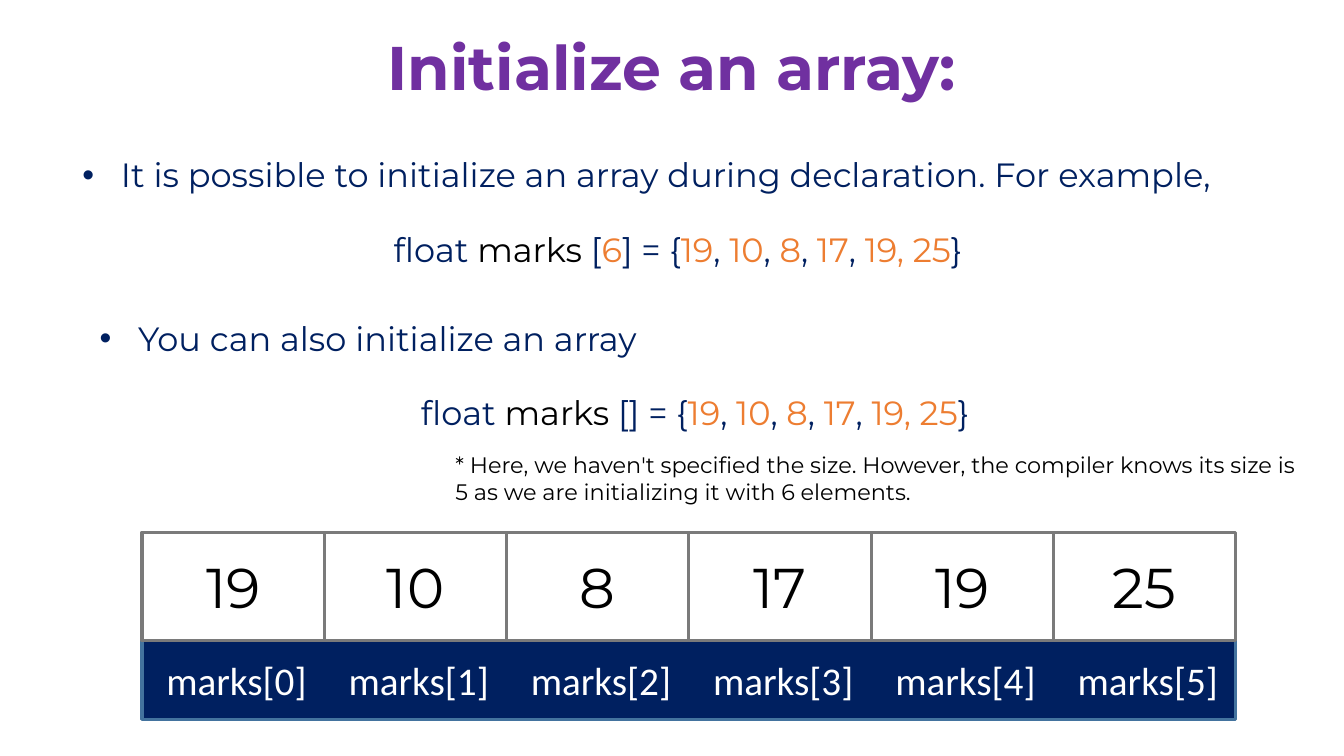
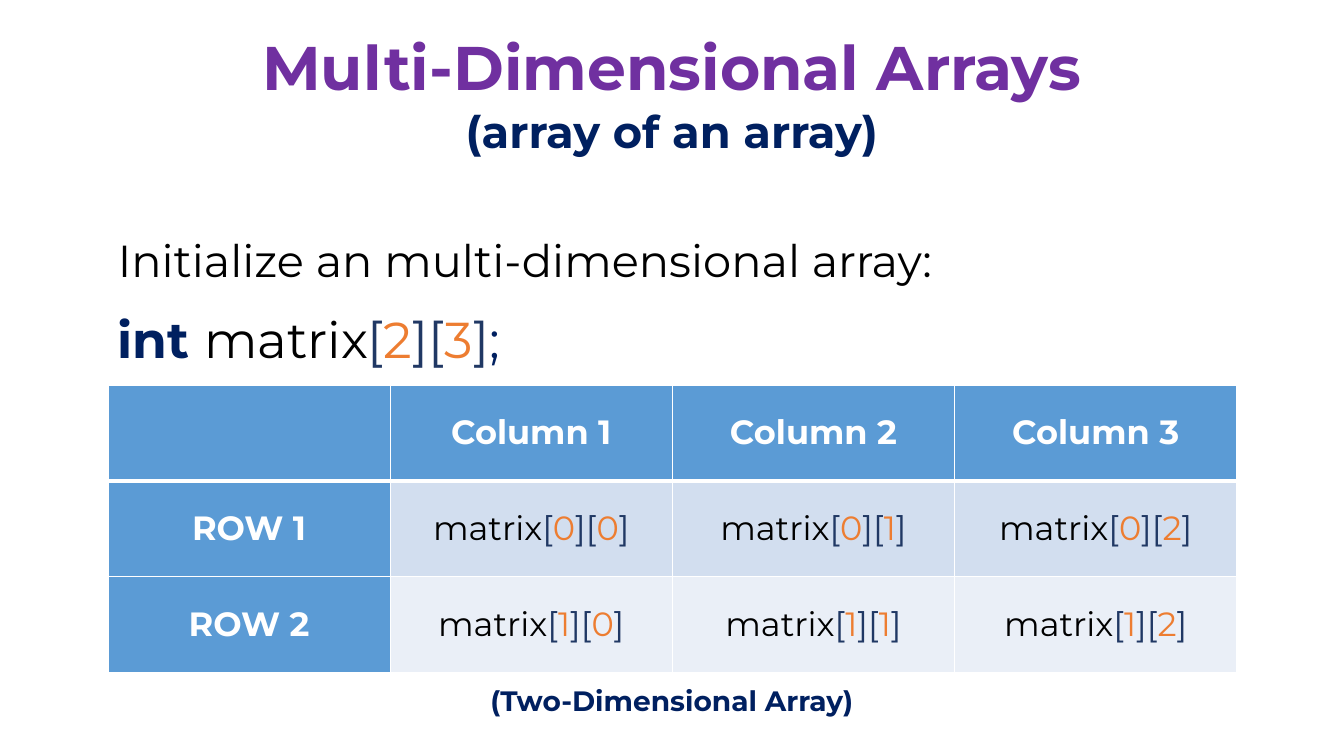
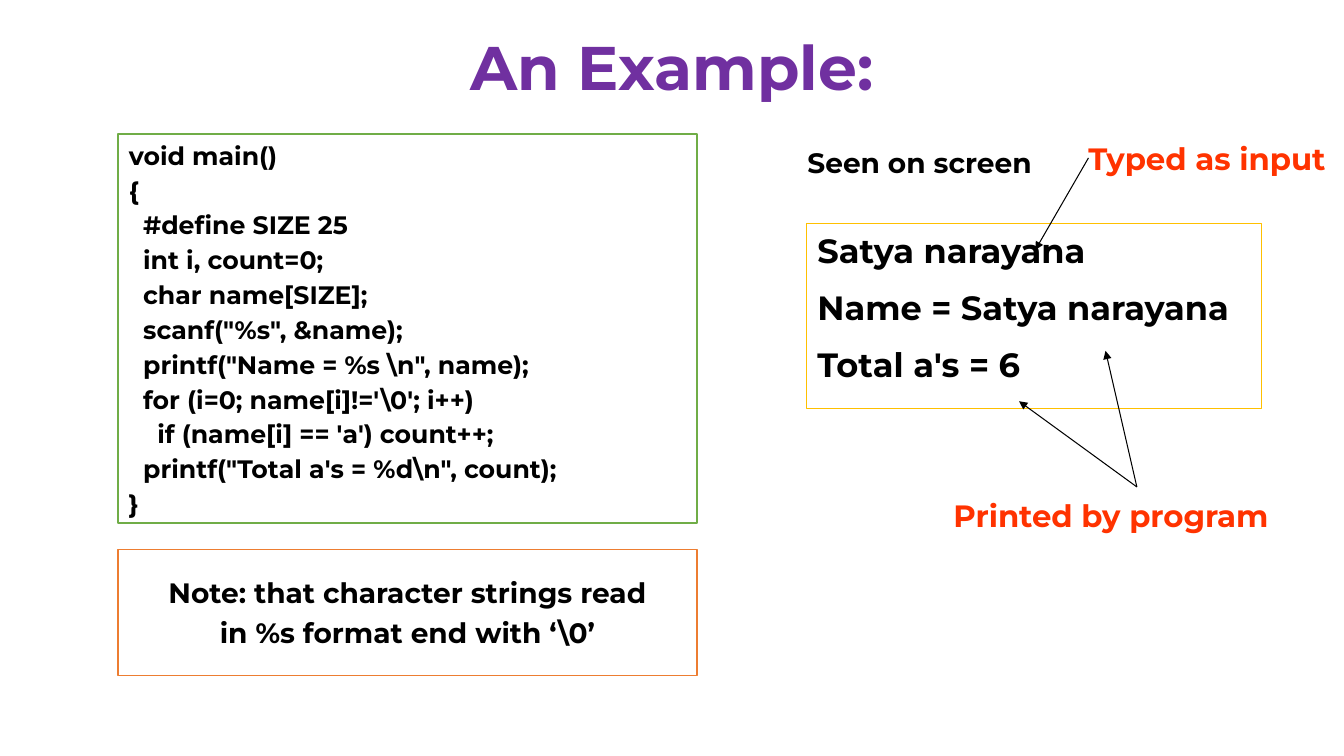
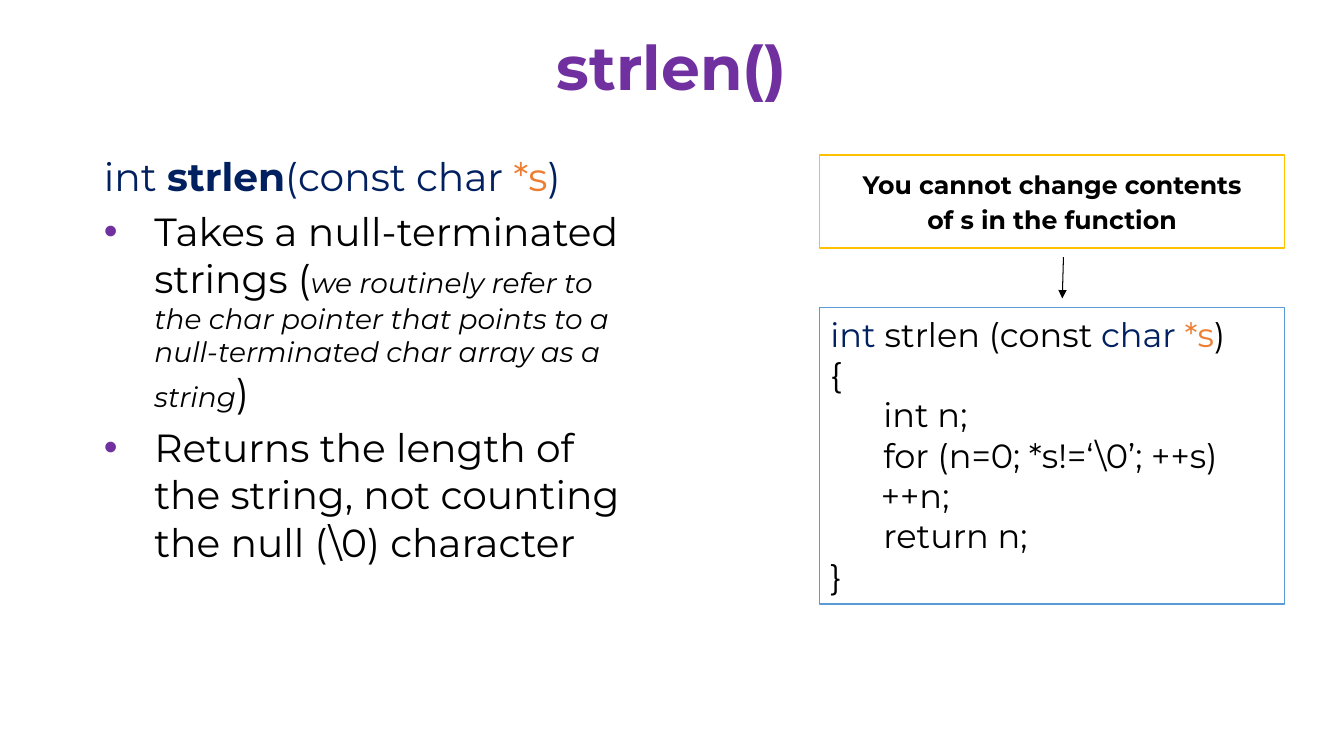
"""Build four slides on C arrays and strings."""
from lxml.etree import SubElement
from pptx import Presentation
from pptx.dml.color import RGBColor
from pptx.enum.shapes import MSO_CONNECTOR, MSO_SHAPE
from pptx.enum.text import MSO_ANCHOR, PP_ALIGN
from pptx.oxml.ns import qn
from pptx.util import Cm, Pt

COLORS = {
    "purple": "7030A0", "navy": "002060", "bracket": "203864", "orange": "ED7D31",
    "black": "000000", "white": "FFFFFF", "red": "FF3300", "green": "70AD47",
    "gold": "FFC000", "blue": "5B9BD5", "edge": "43739E", "gray": "7A7A7A",
    "band1": "D2DEEF", "band2": "EAEFF7",
}
FONT = "Montserrat"
WIDTH, HEIGHT = 33.87, 19.05
DEFAULT_INSETS, CODE_INSETS, NO_INSETS = (0.25, 0.13), (0.28, 0.15), (0, 0)

MARKS = ["19", "10", "8", "17", "19", "25"]
MARK_VALUES = [
    ("19", "orange"), ", ", ("10", "orange"), ", ", ("8", "orange"), ", ",
    ("17", "orange"), ", ", ("19, 25", "orange"), "}",
]
DECLARATIONS = [
    ((1.83, 3.25, 30.51, 3.86),
     "It is possible to initialize an array during declaration. For example,",
     [" [", ("6", "orange"), "] = {"]),
    ((2.26, 7.37, 30.51, 3.86), "You can also initialize an array", [" [] = {"]),
]
SIZE_NOTE = (
    "* Here, we haven't specified the size. However, the compiler knows its size is "
    "5 as we are initializing it with 6 elements."
)

MATRIX_COLUMNS = ["Column 1", "Column 2", "Column 3"]
MATRIX_ROWS = ["ROW 1", "ROW 2"]

COUNT_CODE = r"""void main()
{
  #define SIZE 25
  int i, count=0;
  char name[SIZE];
  scanf("%s", &name);
  printf("Name = %s \n", name);
  for (i=0; name[i]!='\0'; i++)
    if (name[i] == 'a') count++;
  printf("Total a's = %d\n", count);
}""".split("\n")
FORMAT_NOTE = ["Note: that character strings read", r"in %s format end with ‘\0’"]
SCREEN = ["Satya narayana", "Name = Satya narayana", "Total a's = 6"]

STRLEN_POINTS = [
    ["int ", ("strlen", "navy", {"bold": True}), "(const char ", ("*s", "orange"), ")"],
    [("Takes a null-terminated strings (", "black"),
     ("we routinely refer to the char pointer that points to a null-terminated "
      "char array as a string", "black", {"size": Pt(20), "italic": True}),
     (")", "black")],
    [(r"Returns the length of the string, not counting the null (\0) character", "black")],
]
STRLEN_CODE = [
    [("int", "navy"), " strlen (const ", ("char ", "navy"), ("*s", "orange"), ")"],
    "{",
    "      int n;",
    r"      for (n=0; *s!=‘\0’; ++s)",
    "\t++n;",
    "      return n;",
    "}",
]
STRLEN_NOTE = ["You cannot change contents", "of s in the function"]


def rgb(color):
    return RGBColor.from_string(COLORS[color])


def add_runs(paragraph, runs, size, color, bold=False, font=FONT):
    for item in [runs] if isinstance(runs, str) else runs:
        text, run_color, *changes = (item, color) if isinstance(item, str) else item
        run = paragraph.add_run()
        run.text = text
        run.font.name, run.font.size, run.font.bold = font, Pt(size), bold
        run.font.color.rgb = rgb(run_color)
        for name, value in (changes[0] if changes else {}).items():
            setattr(run.font, name, value)


def add_bullet(paragraph, indent, color):
    props = paragraph._p.get_or_add_pPr()
    props.set("marL", str(Cm(indent)))
    props.set("indent", str(-Cm(indent)))
    SubElement(SubElement(props, qn("a:buClr")), qn("a:srgbClr"), val=COLORS[color])
    SubElement(props, qn("a:buFont"), typeface="Arial")
    SubElement(props, qn("a:buChar"), char="•")


def add_text(slide, box, paragraphs, size, color="black", bold=False, font=FONT,
             align=PP_ALIGN.LEFT, anchor=MSO_ANCHOR.TOP, insets=DEFAULT_INSETS,
             spacing=1.0, before=0, bulleted=(), bullet=(0.97, "navy"),
             line=None, line_width=1, fill="white"):
    place = [Cm(length) for length in box]
    if line:
        shape = slide.shapes.add_shape(MSO_SHAPE.RECTANGLE, *place)
        shape.shadow.inherit = False
        shape.fill.solid()
        shape.fill.fore_color.rgb = rgb(fill)
        shape.line.color.rgb = rgb(line)
        shape.line.width = Pt(line_width)
    else:
        shape = slide.shapes.add_textbox(*place)
    frame = shape.text_frame
    frame.word_wrap = True
    frame.vertical_anchor = anchor
    frame.margin_left = frame.margin_right = Cm(insets[0])
    frame.margin_top = frame.margin_bottom = Cm(insets[1])
    for index, runs in enumerate(paragraphs):
        paragraph = frame.add_paragraph() if index else frame.paragraphs[0]
        if index in bulleted:
            add_bullet(paragraph, *bullet)
        paragraph.alignment = PP_ALIGN.LEFT if index in bulleted else align
        paragraph.line_spacing = spacing
        if index:
            paragraph.space_before = Pt(before)
        add_runs(paragraph, runs, size, color, bold, font)
    return shape


def add_heading(slide, top, height, text, size, color="navy"):
    add_text(slide, (0, top, WIDTH, height), [text], size, color, bold=True,
             align=PP_ALIGN.CENTER, anchor=MSO_ANCHOR.BOTTOM, spacing=0.9)


def add_titled_slide(deck, title):
    slide = deck.slides.add_slide(deck.slide_layouts[6])
    add_heading(slide, 0.61, 2.13, title, 44, "purple")
    return slide


def add_arrow(slide, start, end):
    arrow = slide.shapes.add_connector(
        MSO_CONNECTOR.STRAIGHT, *(Cm(length) for length in start + end))
    arrow.line.color.rgb = rgb("black")
    arrow.line.width = Pt(0.75)
    SubElement(arrow.line._get_or_add_ln(), qn("a:tailEnd"), type="triangle")
    SubElement(arrow._element.spPr, qn("a:effectLst"))
    return arrow


def fill_cell(cell, runs, fill, borders, **style):
    props = cell._tc.get_or_add_tcPr()
    for side, width in zip("LRTB", borders):
        edge = SubElement(props, qn(f"a:ln{side}"), w=str(Pt(width)))
        SubElement(SubElement(edge, qn("a:solidFill")), qn("a:srgbClr"), val=COLORS["white"])
    cell.fill.solid()
    cell.fill.fore_color.rgb = rgb(fill)
    cell.vertical_anchor = MSO_ANCHOR.MIDDLE
    paragraph = cell.text_frame.paragraphs[0]
    paragraph.alignment = PP_ALIGN.CENTER
    add_runs(paragraph, runs, 24, **style)


def build_initialize(deck):
    slide = add_titled_slide(deck, "Initialize an array:")
    for box, sentence, brackets in DECLARATIONS:
        code = ["float ", ("marks", "black"), *brackets, *MARK_VALUES]
        add_text(slide, box, [sentence, code], 24, "navy", align=PP_ALIGN.CENTER,
                 spacing=1.5, before=10, bulleted=[0])
    add_text(slide, (11.23, 11.23, 21.74, 1.63), [SIZE_NOTE], 16)

    left, top, width, cell_height = 3.58, 13.41, 27.56, 2.74
    cell_width = width / len(MARKS)
    add_text(slide, (left, top + cell_height, width, 1.98), [], 28,
             line="edge", line_width=2.25, fill="navy")
    for index, mark in enumerate(MARKS):
        x = left + index * cell_width
        add_text(slide, (x, top, cell_width, cell_height), [mark], 40,
                 align=PP_ALIGN.CENTER, anchor=MSO_ANCHOR.MIDDLE,
                 line="gray", line_width=2.25)
        add_text(slide, (x + 0.36, 16.4, cell_width - 0.36, 1.44), [f"marks[{index}]"],
                 28, "white", font="Calibri")


def build_matrix(deck):
    slide = add_titled_slide(deck, "Multi-Dimensional Arrays")
    add_heading(slide, 2.51, 1.6, "(array of an array)", 32)
    add_text(slide, (2.72, 5.74, 24.33, 1.63), ["Initialize an multi-dimensional array:"], 32)
    declaration = [("int ", "navy", {"bold": True}), ("matrix", "black"), "[",
                   ("2", "orange"), "][", ("3", "orange"), "]", (";", "navy")]
    add_text(slide, (2.72, 7.82, 10.31, 1.9), [declaration], 36, "bracket", spacing=0.9)

    rows, columns = len(MATRIX_ROWS) + 1, len(MATRIX_COLUMNS) + 1
    table = slide.shapes.add_table(
        rows, columns, Cm(2.72), Cm(9.7), Cm(28.45), Cm(7.24)).table
    header = {"fill": "blue", "color": "white", "bold": True}
    for index, label in enumerate(["", *MATRIX_COLUMNS]):
        fill_cell(table.cell(0, index), label, borders=(1, 1, 1, 3), **header)
    for row, label in enumerate(MATRIX_ROWS):
        borders = (1, 1, 1 if row else 3, 1)
        fill_cell(table.cell(row + 1, 0), label, borders=borders, **header)
        for column in range(len(MATRIX_COLUMNS)):
            element = [("matrix", "black"), "[", (str(row), "orange"), "][",
                       (str(column), "orange"), "]"]
            fill_cell(table.cell(row + 1, column + 1), element,
                      "band2" if row % 2 else "band1", borders, color="bracket")
    add_heading(slide, 16.94, 1.27, "(Two-Dimensional Array)", 20)


def build_example(deck):
    slide = add_titled_slide(deck, "An Example:")
    add_text(slide, (2.97, 3.38, 14.6, 9.8), COUNT_CODE, 18, bold=True,
             insets=CODE_INSETS, before=3.3, line="green")
    add_text(slide, (2.97, 13.84, 14.6, 3.18), FORMAT_NOTE, 20, bold=True,
             align=PP_ALIGN.CENTER, anchor=MSO_ANCHOR.MIDDLE, insets=NO_INSETS,
             before=4, line="orange")
    add_text(slide, (20.32, 5.64, 11.48, 4.65), SCREEN, 24, bold=True,
             insets=CODE_INSETS, before=12, line="gold")
    add_text(slide, (20.35, 3.66, 8.31, 0.84), ["Seen on screen"], 20, bold=True,
             insets=NO_INSETS)
    typed = add_text(slide, (27.43, 3.51, 6.22, 0.94), ["Typed as input"], 22, "red",
                     bold=True, insets=NO_INSETS)
    add_text(slide, (24.03, 12.52, 8.46, 0.94), ["Printed by program"], 22, "red",
             bold=True, insets=NO_INSETS)
    add_arrow(slide, (27.43, 3.98), (26.09, 6.3)).begin_connect(typed, 1)
    for printed in [(25.68, 10.11), (27.86, 8.84)]:
        add_arrow(slide, (28.65, 12.27), printed)


def build_strlen(deck):
    slide = add_titled_slide(deck, "strlen()")
    add_text(slide, (2.34, 3.68, 13.64, 13.34), STRLEN_POINTS, 28, "navy",
             insets=CODE_INSETS, before=5.8, bulleted=[1, 2], bullet=(1.27, "purple"))
    add_text(slide, (20.65, 7.75, 11.73, 7.47), STRLEN_CODE, 24,
             insets=CODE_INSETS, line="blue")
    add_text(slide, (20.65, 3.91, 11.73, 2.34), STRLEN_NOTE, 18, bold=True,
             align=PP_ALIGN.CENTER, anchor=MSO_ANCHOR.MIDDLE, insets=NO_INSETS,
             before=3.6, line="gold")
    add_arrow(slide, (26.8, 6.48), (26.77, 7.52))


def main():
    deck = Presentation()
    deck.slide_width, deck.slide_height = Cm(WIDTH), Cm(HEIGHT)
    for build in (build_initialize, build_matrix, build_example, build_strlen):
        build(deck)
    deck.save("out.pptx")


if __name__ == "__main__":
    main()
